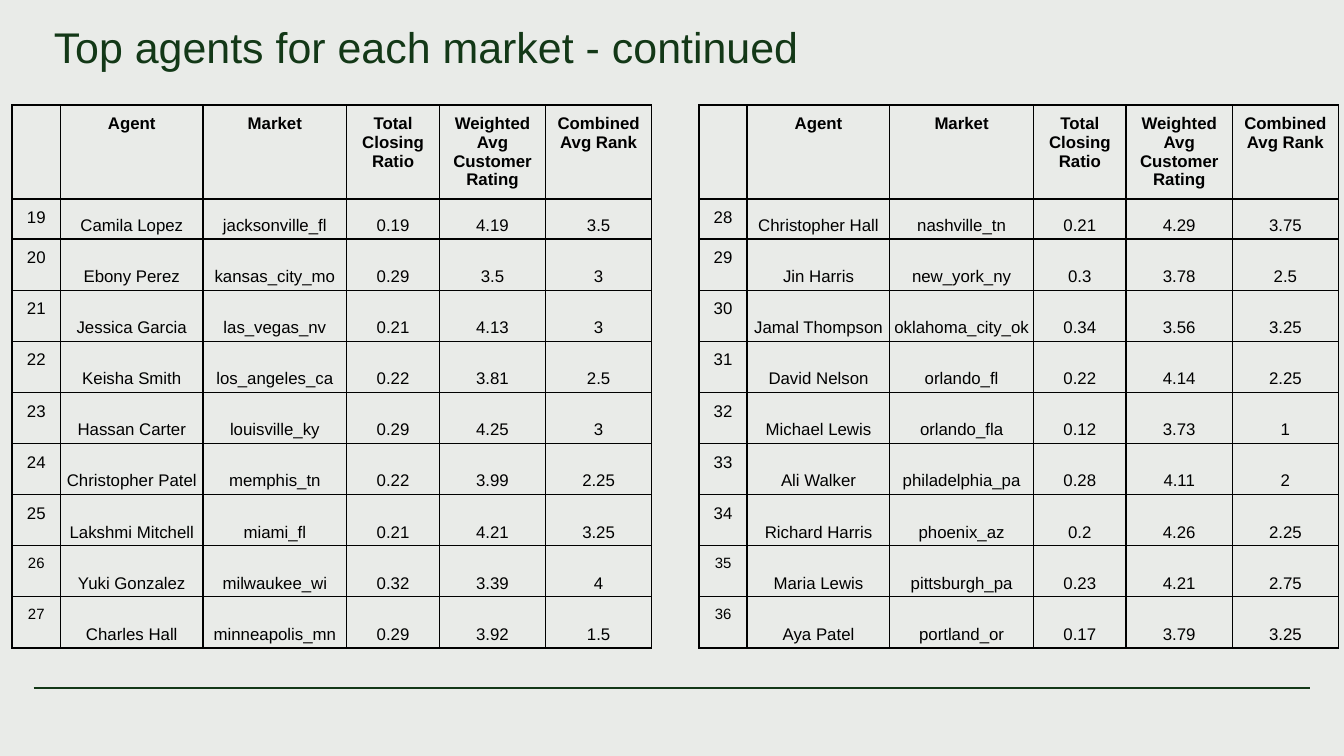
"""Build a slide with two side-by-side tables of the top agents in each market."""
from lxml import etree
from pptx import Presentation
from pptx.dml.color import RGBColor
from pptx.enum.shapes import MSO_CONNECTOR
from pptx.enum.text import MSO_ANCHOR, MSO_AUTO_SIZE, PP_ALIGN
from pptx.oxml.ns import qn
from pptx.util import Inches, Pt

STRAIGHT = MSO_CONNECTOR.STRAIGHT
TOP, BOTTOM = MSO_ANCHOR.TOP, MSO_ANCHOR.BOTTOM
LEFT, CENTER = PP_ALIGN.LEFT, PP_ALIGN.CENTER
NO_AUTOFIT = MSO_AUTO_SIZE.NONE

TITLE = "Top agents for each market - continued"
HEADINGS = ("", "Agent", "Market", "Total Closing Ratio",
            "Weighted Avg Customer Rating", "Combined Avg Rank")
FIRST_RANK = 19
AGENT_GROUPS = [
    [
        ("Camila Lopez", "jacksonville_fl", "0.19", "4.19", "3.5"),
        ("Ebony Perez", "kansas_city_mo", "0.29", "3.5", "3"),
        ("Jessica Garcia", "las_vegas_nv", "0.21", "4.13", "3"),
        ("Keisha Smith", "los_angeles_ca", "0.22", "3.81", "2.5"),
        ("Hassan Carter", "louisville_ky", "0.29", "4.25", "3"),
        ("Christopher Patel", "memphis_tn", "0.22", "3.99", "2.25"),
        ("Lakshmi Mitchell", "miami_fl", "0.21", "4.21", "3.25"),
        ("Yuki Gonzalez", "milwaukee_wi", "0.32", "3.39", "4"),
        ("Charles Hall", "minneapolis_mn", "0.29", "3.92", "1.5"),
    ],
    [
        ("Christopher Hall", "nashville_tn", "0.21", "4.29", "3.75"),
        ("Jin Harris", "new_york_ny", "0.3", "3.78", "2.5"),
        ("Jamal Thompson", "oklahoma_city_ok", "0.34", "3.56", "3.25"),
        ("David Nelson", "orlando_fl", "0.22", "4.14", "2.25"),
        ("Michael Lewis", "orlando_fla", "0.12", "3.73", "1"),
        ("Ali Walker", "philadelphia_pa", "0.28", "4.11", "2"),
        ("Richard Harris", "phoenix_az", "0.2", "4.26", "2.25"),
        ("Maria Lewis", "pittsburgh_pa", "0.23", "4.21", "2.75"),
        ("Aya Patel", "portland_or", "0.17", "3.79", "3.25"),
    ],
]

THEME = {
    "background": "E9EBE8", "accent": "133817", "ink": "000000",
    "font": "Arial", "title": 23, "body": 9, "small": 8,
    "border": 1, "rule": 0.75,
}
SLIDE_WIDTH = 10
SLIDE_HEIGHT = SLIDE_WIDTH * 9 / 16
TITLE_BOX = (0.3, 0.05, 9.5, 0.53)
TABLE_LEFTS = (0.09, 5.2)
TABLE_TOP = 0.78
COLUMN_WIDTHS = (0.36, 1.06, 1.07, 0.69, 0.79, 0.79)
HEADER_HEIGHT, FIRST_ROW_HEIGHT, ROW_HEIGHT = 0.53, 0.3, 0.38
RULE_Y, RULE_MARGIN = 5.12, 0.25
WIDE_INSET, NARROW_INSET, TITLE_INSET = 0.07, 0.03, 0.1
SMALL_RANK_ROWS = 2


def color(role):
    return RGBColor.from_string(THEME[role])


def add_run(paragraph, text, size, role, bold=False):
    run = paragraph.add_run()
    run.text = text
    run.font.name = THEME["font"]
    run.font.size = Pt(size)
    run.font.bold = bold
    run.font.color.rgb = color(role)


def set_insets(holder, inset):
    holder.margin_left = holder.margin_right = Inches(inset)
    holder.margin_top = holder.margin_bottom = Inches(inset)


def set_borders(cell):
    properties = cell._tc.get_or_add_tcPr()
    for side in ("a:lnL", "a:lnR", "a:lnT", "a:lnB"):
        border = etree.SubElement(properties, qn(side), w=str(Pt(THEME["border"])))
        fill = etree.SubElement(border, qn("a:solidFill"))
        etree.SubElement(fill, qn("a:srgbClr"), val=THEME["ink"])


def fill_cell(cell, text, size, inset, anchor, spacing=None, bold=False):
    set_insets(cell, inset)
    cell.vertical_anchor = anchor
    set_borders(cell)
    cell.fill.background()
    paragraph = cell.text_frame.paragraphs[0]
    paragraph.alignment = CENTER
    if spacing:
        paragraph.line_spacing = spacing
    if text:
        add_run(paragraph, text, size, "ink", bold)


def add_title(slide):
    title = slide.shapes.title
    title.left, title.top, title.width, title.height = map(Inches, TITLE_BOX)
    frame = title.text_frame
    frame.auto_size = NO_AUTOFIT
    frame.word_wrap = True
    frame.vertical_anchor = TOP
    set_insets(frame, TITLE_INSET)
    paragraph = frame.paragraphs[0]
    paragraph.alignment = LEFT
    add_run(paragraph, TITLE, THEME["title"], "accent")


def add_footer_rule(slide):
    rule = slide.shapes.add_connector(
        STRAIGHT, Inches(RULE_MARGIN), Inches(RULE_Y),
        Inches(SLIDE_WIDTH - RULE_MARGIN), Inches(RULE_Y))
    rule.line.color.rgb = color("accent")
    rule.line.width = Pt(THEME["rule"])
    etree.SubElement(rule._element.spPr, qn("a:effectLst"))


def add_agent_table(slide, left, first_rank, agents):
    heights = [HEADER_HEIGHT, FIRST_ROW_HEIGHT] + [ROW_HEIGHT] * (len(agents) - 1)
    table = slide.shapes.add_table(
        len(heights), len(HEADINGS), Inches(left), Inches(TABLE_TOP),
        Inches(sum(COLUMN_WIDTHS)), Inches(sum(heights))).table
    table.first_row = table.horz_banding = False
    for column, width in zip(table.columns, COLUMN_WIDTHS):
        column.width = Inches(width)
    for row, height in zip(table.rows, heights):
        row.height = Inches(height)

    body = THEME["body"]
    for column, heading in enumerate(HEADINGS):
        fill_cell(table.cell(0, column), heading, body, WIDE_INSET, TOP, bold=True)
    for row, agent in enumerate(agents, start=1):
        is_small = row > len(agents) - SMALL_RANK_ROWS
        rank_size = THEME["small"] if is_small else body
        rank = str(first_rank + row - 1)
        fill_cell(table.cell(row, 0), rank, rank_size, WIDE_INSET, TOP)
        for column, value in enumerate(agent, start=1):
            fill_cell(table.cell(row, column), value, body, NARROW_INSET, BOTTOM, 1.15)


def main():
    deck = Presentation()
    deck.slide_width, deck.slide_height = Inches(SLIDE_WIDTH), Inches(SLIDE_HEIGHT)
    slide = deck.slides.add_slide(deck.slide_layouts[5])
    slide.background.fill.solid()
    slide.background.fill.fore_color.rgb = color("background")
    add_footer_rule(slide)
    add_title(slide)
    first_rank = FIRST_RANK
    for left, agents in zip(TABLE_LEFTS, AGENT_GROUPS):
        add_agent_table(slide, left, first_rank, agents)
        first_rank += len(agents)
    deck.save("out.pptx")


if __name__ == "__main__":
    main()
